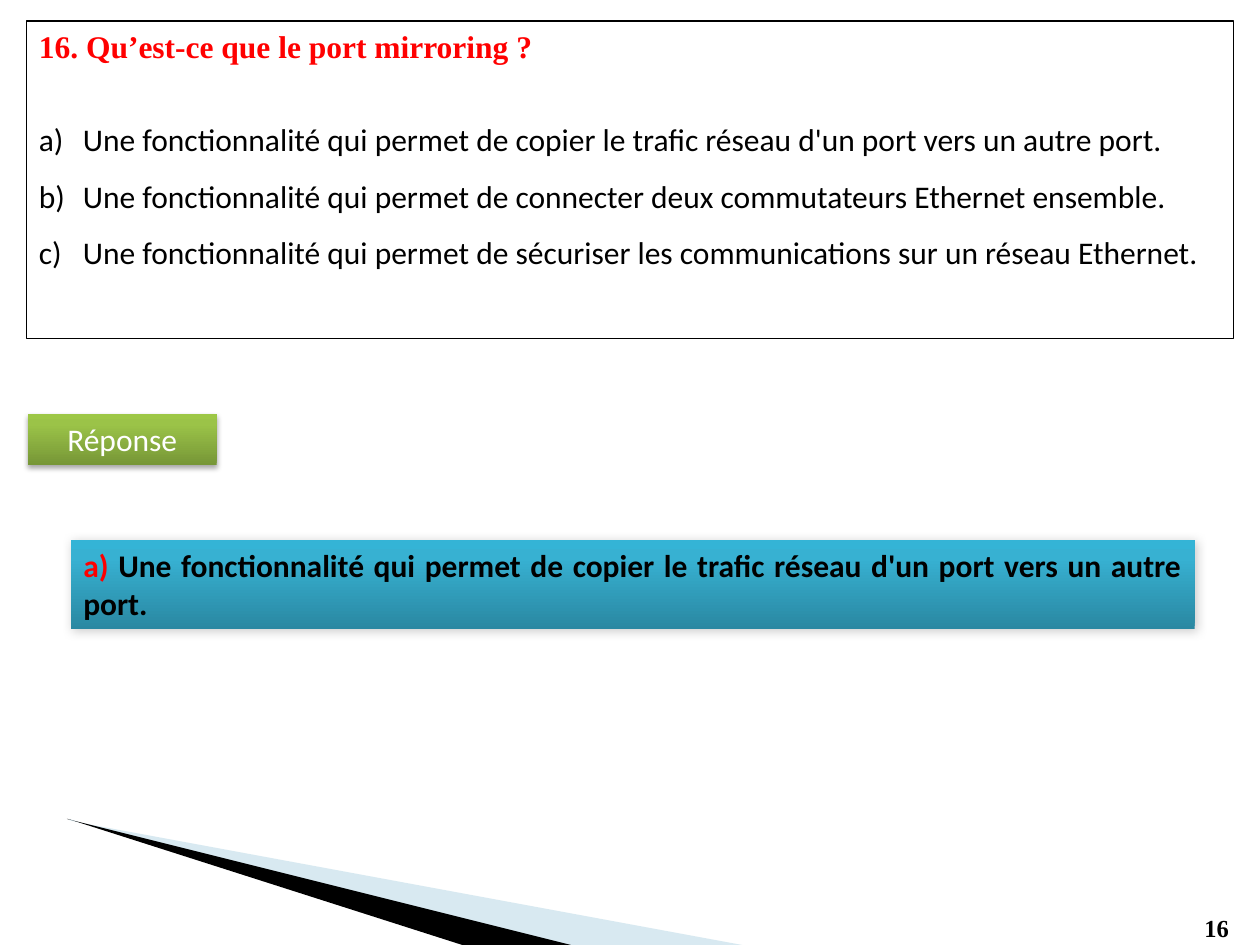
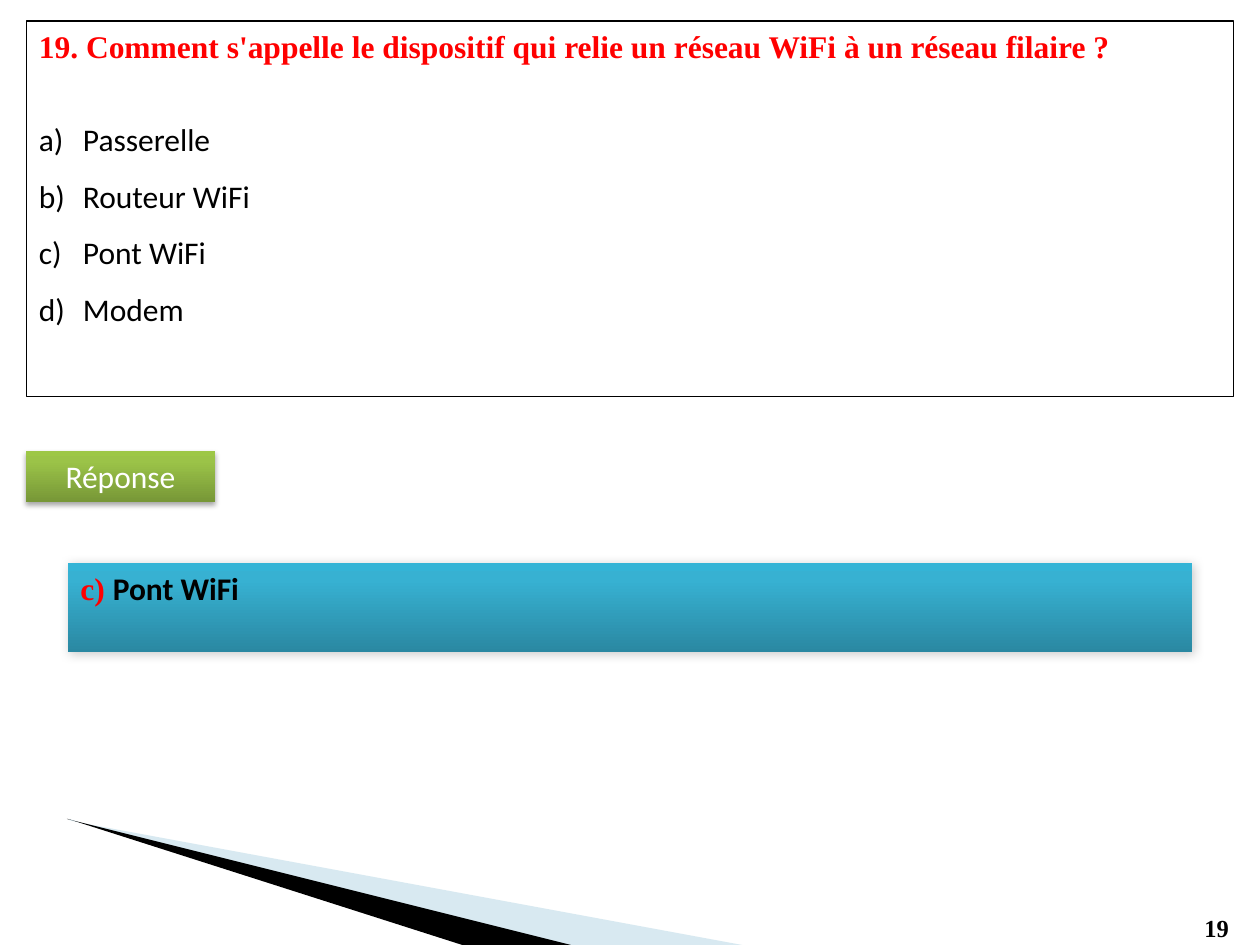
from lxml import etree
from pptx import Presentation
from pptx.dml.color import RGBColor
from pptx.enum.shapes import MSO_SHAPE
from pptx.enum.text import MSO_ANCHOR, PP_ALIGN
from pptx.oxml import parse_xml
from pptx.oxml.ns import nsdecls, qn
from pptx.util import Pt

RECTANGLE = MSO_SHAPE.RECTANGLE
TOP = MSO_ANCHOR.TOP
LEFT, CENTER, JUSTIFY = PP_ALIGN.LEFT, PP_ALIGN.CENTER, PP_ALIGN.JUSTIFY

BLACK, WHITE, RED, PALE_BLUE = "000000", "FFFFFF", "FF0000", "9FCADC"
SANS, SERIF = "Calibri", "Times New Roman"

# Gradient stops run from the bottom edge to the top edge
GREEN_STOPS = [(0, "779737"), (80, "9BC348"), (100, "9DC746")]
BLUE_STOPS = [(0, "2A88A2"), (80, "37B1D2"), (100, "34B4D6")]
# Shadow: opacity in percent, blur and distance in points, direction in degrees
GREEN_SHADOW = (35, 3.1, 1.8, 90)
BLUE_SHADOW = (20, 6, 1, 45)

# Corner decoration: fill, opacity in percent, outlines in points
WINGS = [
    (PALE_BLUE, 40, [[(46, 470.2), (324.7, 540), (424.1, 540)],
                     [(39.6, 468), (39.6, 468.7), (46, 470.2)]]),
    (BLACK, 100, [[(38.2, 468), (38.9, 468), (264.2, 540), (326.2, 540)]]),
]

QUESTIONS = [
    {
        "number": "16",
        "question": "Qu’est-ce que le port mirroring ?",
        "options": [
            "Une fonctionnalité qui permet de copier le trafic réseau d'un port vers un autre port.",
            "Une fonctionnalité qui permet de connecter deux commutateurs Ethernet ensemble.",
            "Une fonctionnalité qui permet de sécuriser les communications sur un réseau Ethernet.",
        ],
        "height": 181.6, "label_at": (15.9, 236.4), "answer_at": (40.5, 308.5),
        "letter": "a", "letter_font": SANS,
    },
    {
        "number": "19",
        "question": "Comment s'appelle le dispositif qui relie un réseau WiFi à un réseau filaire ?",
        "options": ["Passerelle", "Routeur WiFi", "Pont WiFi", "Modem"],
        "height": 214.6, "label_at": (14.9, 257.8), "answer_at": (38.9, 321.5),
        "letter": "c", "letter_font": SERIF,
    },
]


def color(hex_code):
    return RGBColor.from_string(hex_code)


def write(para, text, font=SANS, size=18, fill=BLACK, bold=False, align=LEFT):
    para.alignment = align
    span = para.add_run()
    span.text = text
    span.font.name = font
    span.font.size = Pt(size)
    span.font.bold = bold
    span.font.color.rgb = color(fill)


deck = Presentation()
deck.slide_width, deck.slide_height = Pt(720), Pt(540)

for item in QUESTIONS:
    page = deck.slides.add_slide(deck.slide_layouts[6])
    shapes = page.shapes

    # Corner decoration
    for fill, opacity, outlines in WINGS:
        first_x, first_y = outlines[0][0]
        builder = shapes.build_freeform(Pt(first_x), Pt(first_y))
        for index, outline in enumerate(outlines):
            corners = [(Pt(x), Pt(y)) for x, y in outline]
            if index:
                builder.move_to(*corners[0])
            builder.add_line_segments(corners[1:], close=True)
        wing = builder.convert_to_shape()
        wing.shadow.inherit = False
        wing.line.fill.background()
        wing.fill.solid()
        wing.fill.fore_color.rgb = color(fill)
        if opacity < 100:
            tint = wing.fill._xPr.find(".//" + qn("a:srgbClr"))
            etree.SubElement(tint, qn("a:alpha"), val=str(opacity * 1000))

    # Page number
    box = shapes.add_textbox(Pt(681.1), Pt(518.4), Pt(38.2), Pt(24.2))
    box.text_frame.word_wrap = True
    write(box.text_frame.paragraphs[0], item["number"], font=SERIF, size=14, bold=True)

    # Question box
    question_box = shapes.add_shape(RECTANGLE, Pt(15.1), Pt(12), Pt(689.8), Pt(item["height"]))
    question_box.shadow.inherit = False
    question_box.fill.background()
    question_box.line.color.rgb = color(BLACK)
    question_box.line.width = Pt(0.75)
    frame = question_box.text_frame
    frame.word_wrap = True
    frame.vertical_anchor = TOP
    title = frame.paragraphs[0]
    title.space_after = Pt(20.7)
    write(title, f"{item['number']}. {item['question']}", font=SERIF, fill=RED, bold=True)

    # Lettered options
    for option in item["options"]:
        para = frame.add_paragraph()
        para.line_spacing = 1.5
        write(para, option)
        layout = para._p.get_or_add_pPr()
        layout.set("marL", str(Pt(25.2)))
        layout.set("indent", str(-Pt(25.2)))
        etree.SubElement(layout, qn("a:buFont"), typeface="+mj-lt")
        etree.SubElement(layout, qn("a:buAutoNum"), type="alphaLcParenR")

    # Answer label and answer panel
    answer = item["options"]["abcd".index(item["letter"])]
    label_spans = [("Réponse", {"fill": WHITE, "align": CENTER})]
    answer_spans = [
        (item["letter"] + ") ",
         {"font": item["letter_font"], "fill": RED, "bold": True, "align": JUSTIFY}),
        (answer, {"bold": True, "align": JUSTIFY}),
    ]
    for place, size, stops, shadow, spans in [
        (item["label_at"], (108, 29.1), GREEN_STOPS, GREEN_SHADOW, label_spans),
        (item["answer_at"], (642.2, 50.9), BLUE_STOPS, BLUE_SHADOW, answer_spans),
    ]:
        panel = shapes.add_shape(RECTANGLE, *map(Pt, place + size))
        panel.line.fill.background()
        panel.shadow.inherit = False
        properties = panel._element.spPr
        stop_list = "".join(
            f'<a:gs pos="{position * 1000}"><a:srgbClr val="{shade}"/></a:gs>'
            for position, shade in stops)
        properties.insert(2, parse_xml(
            f'<a:gradFill {nsdecls("a")} rotWithShape="1"><a:gsLst>{stop_list}</a:gsLst>'
            '<a:lin ang="16200000" scaled="0"/></a:gradFill>'))
        opacity, blur, distance, direction = shadow
        properties.find(qn("a:effectLst")).append(parse_xml(
            f'<a:outerShdw {nsdecls("a")} blurRad="{Pt(blur)}" dist="{Pt(distance)}" '
            f'dir="{direction * 60000}" rotWithShape="0"><a:srgbClr val="{BLACK}">'
            f'<a:alpha val="{opacity * 1000}"/></a:srgbClr></a:outerShdw>'))
        panel.text_frame.word_wrap = True
        panel.text_frame.vertical_anchor = TOP
        for text, style in spans:
            write(panel.text_frame.paragraphs[0], text, **style)

deck.save("out.pptx")
